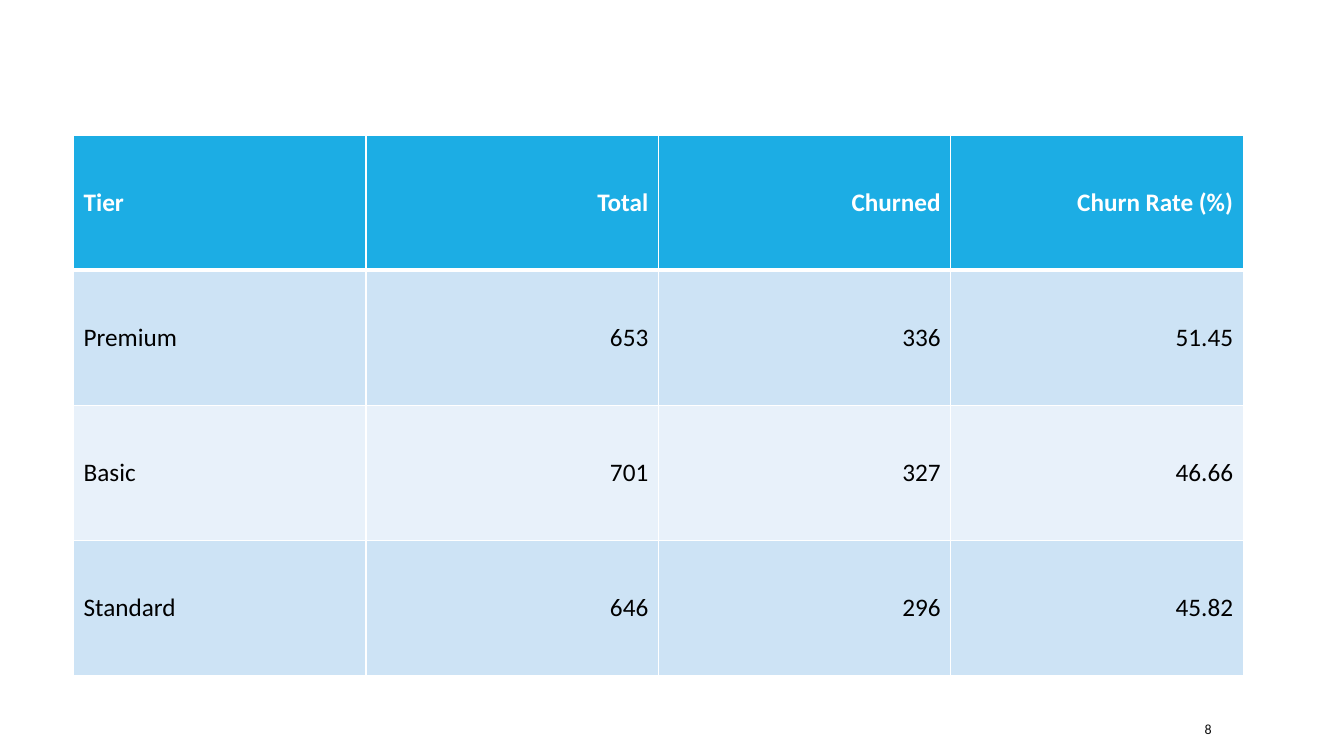
from dataclasses import astuple, dataclass

import pptx
import pptx.dml.color
import pptx.enum.text
import pptx.oxml
import pptx.oxml.ns
import pptx.util
from pptx.util import Inches

WHITE = pptx.dml.color.RGBColor(0xFF, 0xFF, 0xFF)
BLACK = pptx.dml.color.RGBColor(0x00, 0x00, 0x00)
PAGE_GREY = pptx.dml.color.RGBColor(0x0D, 0x0D, 0x0D)
HEADER_BLUE = pptx.dml.color.RGBColor(0x1C, 0xAD, 0xE4)
BAND_DARK = pptx.dml.color.RGBColor(0xCD, 0xE3, 0xF5)
BAND_LIGHT = pptx.dml.color.RGBColor(0xE8, 0xF1, 0xFA)

FONT = "Calibri"
COLUMN_WIDTH = 2.9
ROW_HEIGHT = 1.34
THIN, THICK = 1, 3


@dataclass(frozen=True)
class TierRow:
    tier: str
    total: str
    churned: str
    churn_rate: str


ROWS = [
    TierRow("Tier", "Total", "Churned", "Churn Rate (%)"),
    TierRow("Premium", "653", "336", "51.45"),
    TierRow("Basic", "701", "327", "46.66"),
    TierRow("Standard", "646", "296", "45.82"),
]


def add_run(paragraph, text: str, size: float, color, bold: bool = False) -> None:
    run = paragraph.add_run()
    run.text = text
    run.font.name = FONT
    run.font.size = pptx.util.Pt(size)
    run.font.bold = bold
    run.font.color.rgb = color


def set_borders(cell, top: float, bottom: float) -> None:
    """Draw white borders; they must precede the fill in the cell XML."""
    properties = cell._tc.get_or_add_tcPr()
    widths = {"lnL": THIN, "lnR": THIN, "lnT": top, "lnB": bottom}
    for side, width in widths.items():
        properties.append(pptx.oxml.parse_xml(
            f'<a:{side} {pptx.oxml.ns.nsdecls("a")} w="{pptx.util.Pt(width)}">'
            f'<a:solidFill><a:srgbClr val="{WHITE}"/></a:solidFill></a:{side}>'
        ))


def fill_row(table, row: int, values: tuple) -> None:
    is_header = row == 0
    if is_header:
        fill = HEADER_BLUE
    else:
        fill = BAND_DARK if row % 2 else BAND_LIGHT
    for column, value in enumerate(values):
        cell = table.cell(row, column)
        set_borders(cell, THICK if row == 1 else THIN, THICK if is_header else THIN)
        cell.fill.solid()
        cell.fill.fore_color.rgb = fill
        cell.vertical_anchor = pptx.enum.text.MSO_ANCHOR.MIDDLE
        paragraph = cell.text_frame.paragraphs[0]
        if column:
            paragraph.alignment = pptx.enum.text.PP_ALIGN.RIGHT
        add_run(paragraph, value, 18, WHITE if is_header else BLACK, is_header)


def add_churn_table(slide) -> None:
    columns = len(astuple(ROWS[0]))
    table = slide.shapes.add_table(
        len(ROWS), columns, Inches(0.73), Inches(1.34),
        Inches(COLUMN_WIDTH * columns), Inches(ROW_HEIGHT * len(ROWS)),
    ).table
    for column in table.columns:
        column.width = Inches(COLUMN_WIDTH)
    for index, tier_row in enumerate(ROWS):
        table.rows[index].height = Inches(ROW_HEIGHT)
        fill_row(table, index, astuple(tier_row))


def add_page_number(slide, number: str) -> None:
    frame = slide.shapes.add_textbox(
        Inches(11.85), Inches(7.08), Inches(1.06), Inches(0.3)
    ).text_frame
    frame.word_wrap = True
    frame.vertical_anchor = pptx.enum.text.MSO_ANCHOR.MIDDLE
    add_run(frame.paragraphs[0], number, 10, PAGE_GREY)


def main() -> None:
    presentation = pptx.Presentation()
    presentation.slide_width = Inches(13.33)
    presentation.slide_height = Inches(7.5)
    # The slide has no title, so the blank layout is used
    slide = presentation.slides.add_slide(presentation.slide_layouts[6])

    # Page number
    add_page_number(slide, "8")

    # Churn by tier
    add_churn_table(slide)

    presentation.save("out.pptx")


if __name__ == "__main__":
    main()
